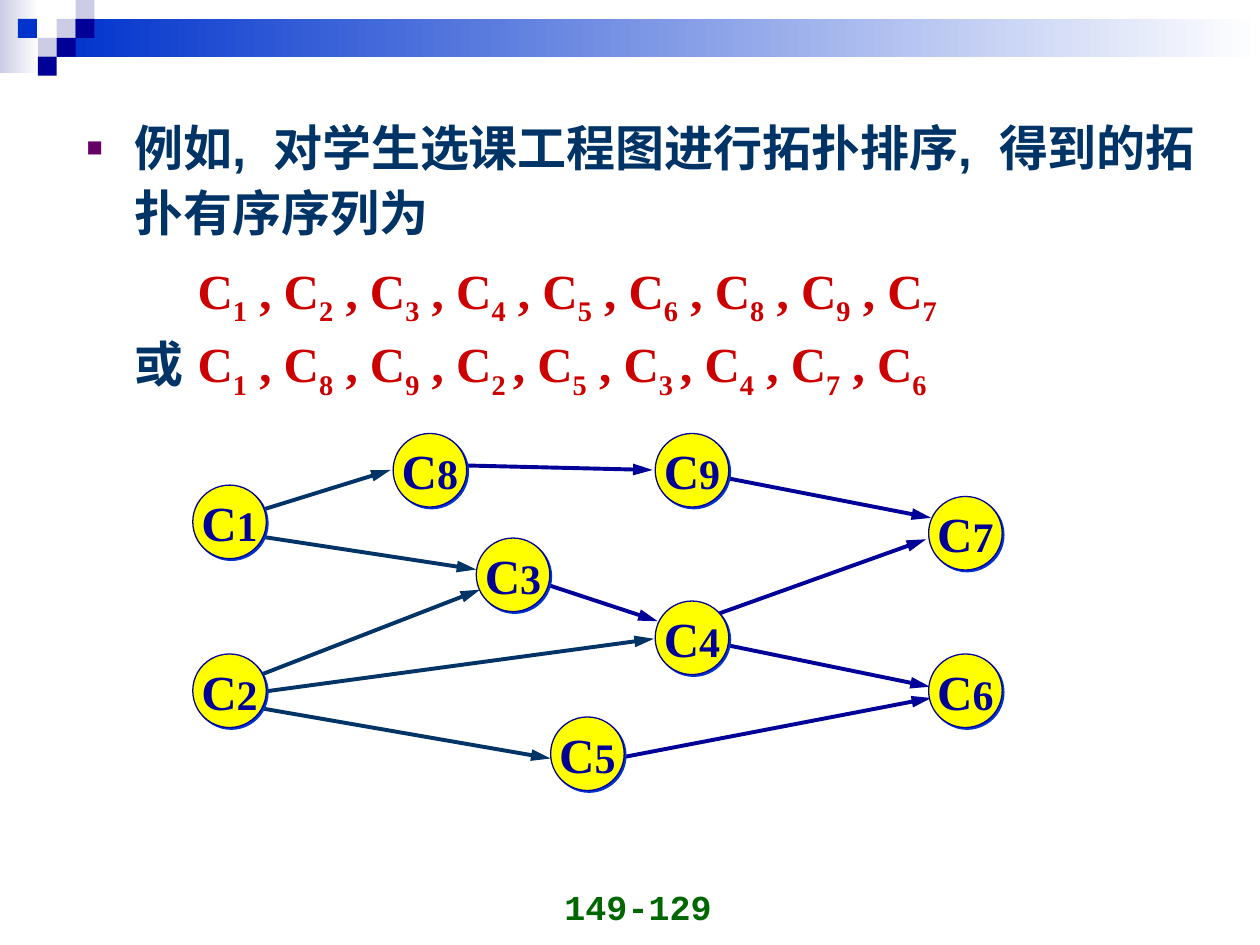
import pptx
import pptx.dml.color
import pptx.enum.shapes
import pptx.enum.text
import pptx.oxml
import pptx.oxml.ns
import pptx.util

COLORS = {
    "navy": "000099", "blue": "0033CC", "lavender": "CCCCE6", "white": "FFFFFF",
    "text": "003366", "red": "CC0000", "green": "006600", "yellow": "FFFF00",
    "bullet": "660066",
}
SERIF, SANS, MONO = "Times New Roman", "Arial", "Courier New"
COLUMNS, ROWS = 100, 75  # square grid over the slide
CELL = 1.5               # side of a header square
NODE = 5.84              # diameter of a graph node


def rgb(name):
    return pptx.dml.color.RGBColor.from_string(COLORS[name])


def element(xml):
    namespace = pptx.oxml.ns.nsdecls("a")
    return pptx.oxml.parse_xml(xml.replace("/>", f" {namespace}/>", 1)
                               if xml.endswith("/>") and xml.count("<") == 1
                               else xml.replace(">", f" {namespace}>", 1))


class SlideBuilder:
    """Holds the grid, the text style and the current slide."""

    def __init__(self, presentation):
        self.column = presentation.slide_width / COLUMNS
        self.row = presentation.slide_height / ROWS
        self.slide = presentation.slides.add_slide(presentation.slide_layouts[6])

    def box(self, left, top, width, height):
        return (round(left * self.column), round(top * self.row),
                round(width * self.column), round(height * self.row))

    def run(self, paragraph, text, size, font, color, subscript=False):
        run = paragraph.add_run()
        run.text = text
        run.font.size = pptx.util.Pt(size)
        run.font.name = font
        run.font.bold = True
        run.font.color.rgb = rgb(color)
        if subscript:
            run.font._element.set("baseline", "-25000")

    def sequence(self, paragraph, text):
        """Write course names; parts between underscores are subscripts."""
        for index, part in enumerate(text.split("_")):
            if part:
                self.run(paragraph, part, 28, SERIF, "red", index % 2 == 1)

    def rectangle(self, left, top, width, height, *colors):
        shape = self.slide.shapes.add_shape(
            pptx.enum.shapes.MSO_SHAPE.RECTANGLE, *self.box(left, top, width, height))
        shape.shadow.inherit = False
        shape.line.fill.background()
        if len(colors) == 1:
            shape.fill.solid()
            shape.fill.fore_color.rgb = rgb(colors[0])
        else:
            shape.fill.gradient()
            shape.fill.gradient_angle = 0
            for stop, color in zip(shape.fill.gradient_stops, colors):
                stop.color.rgb = rgb(color)

    def text_box(self, left, top, width, height):
        text_frame = self.slide.shapes.add_textbox(
            *self.box(left, top, width, height)).text_frame
        text_frame.word_wrap = True
        return text_frame

    def layout_paragraph(self, paragraph, margin, indent, *parts):
        properties = paragraph._p.get_or_add_pPr()
        properties.set("marL", str(round(margin * self.column)))
        properties.set("indent", str(round(indent * self.column)))
        for part in parts:
            properties.append(element(part))
        paragraph.line_spacing = 1.1

    def arrow(self, start_x, start_y, end_x, end_y, color):
        start_x, start_y, end_x, end_y = self.box(start_x, start_y, end_x, end_y)
        connector = self.slide.shapes.add_connector(
            pptx.enum.shapes.MSO_CONNECTOR.STRAIGHT, start_x, start_y, end_x, end_y)
        connector.line.color.rgb = rgb(color)
        connector.line.width = pptx.util.Pt(2.25)
        connector.line._get_or_add_ln().append(element('<a:tailEnd type="triangle" w="med" len="lg"/>'))
        connector._element.spPr.append(element("<a:effectLst/>"))

    def node(self, number, left, top):
        shape = self.slide.shapes.add_shape(
            pptx.enum.shapes.MSO_SHAPE.OVAL, *self.box(left, top, NODE, NODE))
        shape.fill.solid()
        shape.fill.fore_color.rgb = rgb("yellow")
        shape.line.color.rgb = rgb("navy")
        shape.line.width = pptx.util.Pt(0.75)
        shape.shadow.inherit = False
        effects = shape._element.spPr.find(pptx.oxml.ns.qn("a:effectLst"))
        effects.append(element(
            '<a:outerShdw dist="17780" dir="2700000" algn="ctr" rotWithShape="0">'
            f'<a:srgbClr val="{COLORS["blue"]}"/></a:outerShdw>'))
        text_frame = shape.text_frame
        text_frame.word_wrap = False
        text_frame.vertical_anchor = pptx.enum.text.MSO_ANCHOR.MIDDLE
        paragraph = text_frame.paragraphs[0]
        paragraph.alignment = pptx.enum.text.PP_ALIGN.CENTER
        self.run(paragraph, "C", 28, SERIF, "navy")
        self.run(paragraph, str(number), 24, SERIF, "navy")


def main():
    presentation = pptx.Presentation()
    presentation.slide_width = pptx.util.Inches(10)
    presentation.slide_height = pptx.util.Inches(7.5)
    builder = SlideBuilder(presentation)

    # Header band and checkered squares (column, row)
    builder.rectangle(0, 0, 3.1, 5.8, "lavender", "white")
    builder.rectangle(4.5, CELL, 95.5, 2 * CELL, "blue", "white")
    squares = {
        "lavender": [(3, 1), (4, 0), (2, 2)],
        "navy": [(4, 1), (3, 2), (2, 3)],
        "blue": [(0.95, 1)],
    }
    for color, cells in squares.items():
        for column, row in cells:
            builder.rectangle(column * CELL, row * CELL, CELL, CELL, color)

    # Page number
    page = builder.text_box(39, 69.1, 23.3, 5)
    page.vertical_anchor = pptx.enum.text.MSO_ANCHOR.BOTTOM
    page.paragraphs[0].alignment = pptx.enum.text.PP_ALIGN.CENTER
    builder.run(page.paragraphs[0], "149-129", 20, MONO, "green")

    # Statement and the two topological orders
    body = builder.text_box(5.9, 8.4, 90, 35)
    statement = body.paragraphs[0]
    builder.layout_paragraph(
        statement, 3.8, -3.8,
        f'<a:buClr><a:srgbClr val="{COLORS["bullet"]}"/></a:buClr>',
        '<a:buSzPct val="55000"/>', '<a:buFont typeface="Arial"/>', '<a:buChar char="■"/>')
    builder.run(statement, "例如,  对学生选课工程图进行拓扑排序,  得到的拓扑有序序列为", 28, SANS, "text")

    orders = body.add_paragraph()
    tab = round(11 * builder.column)
    builder.layout_paragraph(
        orders, 3.8, 0, "<a:buNone/>",
        f'<a:tabLst><a:tab pos="{tab}" algn="l"/></a:tabLst>')
    orders.space_before = pptx.util.Pt(7)
    builder.run(orders, "\t", 28, SANS, "text")
    builder.sequence(orders, " , ".join(f"C_{number}_" for number in "123456897"))
    orders.add_line_break()
    builder.run(orders, "或\t", 28, SANS, "text")
    builder.sequence(orders, "C_1_ , C_8_ , C_9_ , C_2 _, C_5_ , C_3 _, C_4_ , C_7_ , C_6_")

    # Prerequisite arrows (start x, start y, end x, end y)
    arrows = {
        "navy": [
            (57.2, 51.1, 73.8, 54.5), (48.9, 60.2, 73.9, 55.4),
            (42.2, 46, 52.2, 49.3), (56.4, 37.7, 73.9, 41.1),
            (55.1, 49.4, 73.5, 42.8), (35.1, 36.9, 51.8, 37.3),
        ],
        "text": [
            (19.4, 55.1, 51.9, 50.7), (19.5, 56, 43.7, 60.2),
            (19.8, 53.9, 38.1, 46.8), (16.2, 41.9, 37.8, 45.2),
            (19.4, 40.9, 31, 37.3),
        ],
    }
    for color, lines in arrows.items():
        for line in lines:
            builder.arrow(*line, color)

    # Course nodes (left, top)
    nodes = {
        8: (31.2, 34.4), 3: (37.8, 42.7), 5: (43.7, 56.9),
        4: (52, 47.7), 9: (52, 34.4), 6: (73.7, 51.9),
        7: (73.7, 39.4), 1: (15.3, 38.5), 2: (15.3, 51.9),
    }
    for number, place in nodes.items():
        builder.node(number, *place)

    presentation.save("out.pptx")


if __name__ == "__main__":
    main()
